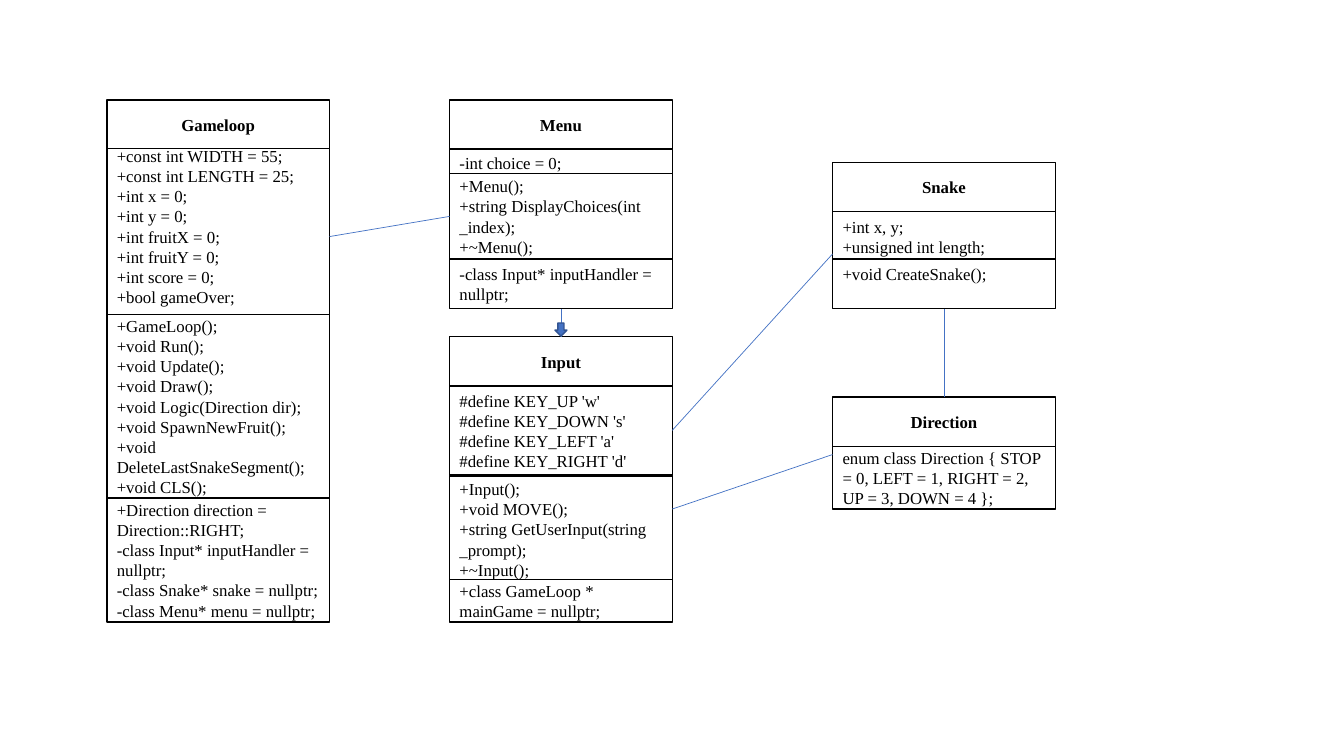
from pptx import Presentation
from pptx.dml.color import RGBColor
from pptx.enum.shapes import MSO_CONNECTOR, MSO_SHAPE
from pptx.enum.text import MSO_ANCHOR, PP_ALIGN
from pptx.oxml.ns import qn
from pptx.util import Pt
from lxml import etree

COLORS = {"paper": "FFFFFF", "ink": "000000", "link": "4472C4", "arrow_edge": "325491"}
FONT = "Times New Roman"
CLASS_WIDTH = 159.1
TITLE_HEIGHT = 35.3
INSET = 3.6
RAISED_INSET = 18  # lifts the text by half a line

# Column left edges
LEFT_COLUMN, MIDDLE_COLUMN, RIGHT_COLUMN = 76.3, 321.1, 594.7

# Each class: name, left, top, compartments (offset from top, height, lines, bottom inset)
CLASSES = [
    ("Menu", MIDDLE_COLUMN, 71.3, [
        (35.3, 18.7, ["-int choice = 0;"], INSET),
        (52.6, 61.2, ["+Menu();", "+string DisplayChoices(int _index);", "+~Menu();"], INSET),
        (113.8, 35.3, ["-class Input* inputHandler = nullptr;"], INSET),
    ]),
    ("Snake", RIGHT_COLUMN, 115.9, [
        (35.3, 35.3, ["+int x, y;", "+unsigned int length;"], INSET),
        (69.1, 35.3, ["+void CreateSnake();"], RAISED_INSET),
    ]),
    ("Input", MIDDLE_COLUMN, 240.5, [
        (35.3, 63.4, ["#define KEY_UP 'w'", "#define KEY_DOWN 's'",
                      "#define KEY_LEFT 'a'", "#define KEY_RIGHT 'd'"], INSET),
        (99.4, 76.3, ["+Input();", "+void MOVE();",
                      "+string GetUserInput(string _prompt);", "+~Input();"], INSET),
        (173.5, 30.2, ["+class GameLoop * mainGame = nullptr;"], INSET),
    ]),
    ("Direction", RIGHT_COLUMN, 283.7, [
        (35.3, 44.6, ["enum class Direction { STOP = 0, LEFT = 1, RIGHT = 2, "
                      "UP = 3, DOWN = 4 };"], INSET),
    ]),
    ("Gameloop", LEFT_COLUMN, 71.3, [
        (34.6, 126, ["+const int WIDTH = 55;", "+const int LENGTH = 25;", "+int x = 0;",
                     "+int y = 0;", "+int fruitX = 0;", "+int fruitY = 0;",
                     "+int score = 0;", "+bool gameOver;"], RAISED_INSET),
        (153.4, 131, ["+GameLoop();", "+void Run();", "+void Update();", "+void Draw();",
                      "+void Logic(Direction dir);", "+void SpawnNewFruit();",
                      "+void DeleteLastSnakeSegment();", "+void CLS();"], INSET),
        (284.4, 88.6, ["+Direction direction = Direction::RIGHT;",
                       "-class Input* inputHandler = nullptr;",
                       "-class Snake* snake = nullptr;",
                       "-class Menu* menu = nullptr;"], INSET),
    ]),
]

# Link end points: x and y of the start, x and y of the end
MIDDLE_RIGHT = MIDDLE_COLUMN + CLASS_WIDTH
MIDDLE_CENTER = MIDDLE_COLUMN + CLASS_WIDTH / 2
RIGHT_CENTER = RIGHT_COLUMN + CLASS_WIDTH / 2
LINKS = [
    (LEFT_COLUMN + CLASS_WIDTH, 169, MIDDLE_COLUMN, 154.6),  # Gameloop to Menu
    (MIDDLE_CENTER, 220.7, MIDDLE_CENTER, 240.5),            # Menu to Input
    (MIDDLE_RIGHT, 307.4, RIGHT_COLUMN, 181.4),              # Input to Snake
    (MIDDLE_RIGHT, 363.6, RIGHT_COLUMN, 324.7),              # Input to Direction
    (RIGHT_CENTER, 283.7, RIGHT_CENTER, 220.7),              # Direction to Snake
]


def color(name):
    return RGBColor.from_string(COLORS[name])


def add_filled_shape(slide, kind, left, top, width, height, fill, line):
    shape = slide.shapes.add_shape(kind, Pt(left), Pt(top), Pt(width), Pt(height))
    shape.shadow.inherit = False
    shape.fill.solid()
    shape.fill.fore_color.rgb = color(fill)
    shape.line.color.rgb = color(line)
    shape.line.width = Pt(1)
    return shape


def add_compartment(slide, left, top, height, lines, bottom_inset=INSET, is_title=False):
    shape = add_filled_shape(slide, MSO_SHAPE.RECTANGLE, left, top, CLASS_WIDTH, height,
                             "paper", "ink")
    text_frame = shape.text_frame
    text_frame.word_wrap = True
    text_frame.vertical_anchor = MSO_ANCHOR.MIDDLE
    text_frame.margin_bottom = Pt(bottom_inset)
    text_frame.text = "\n".join(lines)
    for paragraph in text_frame.paragraphs:
        paragraph.alignment = PP_ALIGN.CENTER if is_title else PP_ALIGN.LEFT
        for run in paragraph.runs:
            run.font.name = FONT
            run.font.size = Pt(12)
            run.font.bold = is_title
            run.font.color.rgb = color("ink")


def add_class(slide, name, left, top, compartments):
    add_compartment(slide, left, top, TITLE_HEIGHT, [name], is_title=True)
    for offset, height, lines, bottom_inset in compartments:
        add_compartment(slide, left, top + offset, height, lines, bottom_inset)


def add_link(slide, *ends):
    connector = slide.shapes.add_connector(MSO_CONNECTOR.STRAIGHT, *[Pt(end) for end in ends])
    connector.line.color.rgb = color("link")
    connector.line.width = Pt(0.5)
    etree.SubElement(connector._element.spPr, qn("a:effectLst"))


def add_arrow(slide, center, top):
    width, height = 9.4, 8.6
    arrow = add_filled_shape(slide, MSO_SHAPE.RIGHT_ARROW, center - width / 2, top,
                             width, height, "link", "arrow_edge")
    arrow.rotation = 90


def main():
    presentation = Presentation()
    presentation.slide_width, presentation.slide_height = Pt(960), Pt(540)
    slide = presentation.slides.add_slide(presentation.slide_layouts[6])

    # Class boxes
    for class_box in CLASSES:
        add_class(slide, *class_box)

    # Links between classes
    for link in LINKS:
        add_link(slide, *link)
    add_arrow(slide, MIDDLE_CENTER, 231.1)

    presentation.save("out.pptx")


if __name__ == "__main__":
    main()
